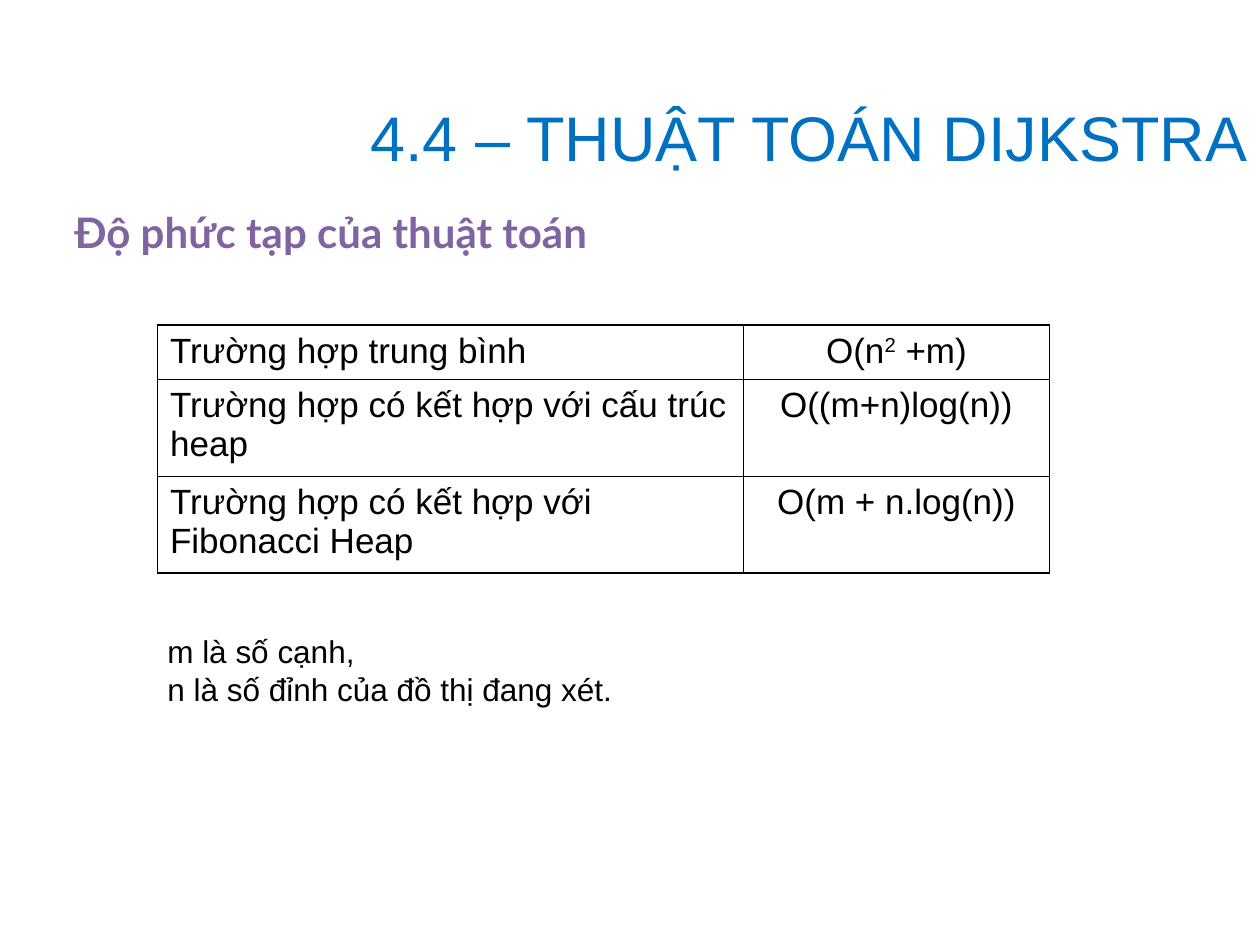
from lxml import etree
from pptx import Presentation
from pptx import util as u
from pptx.dml import color
from pptx.enum import text
from pptx.oxml import ns

deck = Presentation()
deck.slide_width, deck.slide_height = u.Inches(10), u.Inches(7.5)
page = deck.slides.add_slide(deck.slide_layouts[5])
ALIGN, ANCHOR = text.PP_ALIGN, text.MSO_ANCHOR


def paint(value):
    return color.RGBColor.from_string(value)


def write(frame, lines, look, align=ALIGN.LEFT):
    """Each line is a list of pieces; every second piece is a superscript."""
    for index, line in enumerate(lines):
        para = frame.paragraphs[0] if index == 0 else frame.add_paragraph()
        para.alignment = align
        for order, piece in enumerate(line):
            span = para.add_run()
            span.text = piece
            for name, value in look.items():
                if name == "color":
                    span.font.color.rgb = paint(value)
                else:
                    setattr(span.font, name, value)
            if order % 2:
                span.font._element.set("baseline", "30000")


# Section heading and slide title
heading = page.shapes.add_textbox(*map(u.Inches, (1.42, 0.58, 8.58, 1)))
heading.text_frame.word_wrap = True
heading.text_frame.vertical_anchor = ANCHOR.MIDDLE
write(heading.text_frame, [["4.4 – THUẬT TOÁN DIJKSTRA"]],
      {"name": "Arial", "size": u.Pt(36), "color": "0070C0"}, ALIGN.RIGHT)

title = page.shapes.title
title.left, title.top, title.width, title.height = map(u.Inches, (0.49, 1.5, 9.28, 0.67))
title.text_frame.vertical_anchor = ANCHOR.MIDDLE
write(title.text_frame, [["Độ phức tạp của thuật toán"]],
      {"name": "Lato", "size": u.Pt(24), "bold": True, "color": "8064A2"})

# Complexity table
cases = [
    ("Trường hợp trung bình", ["O(n", "2", " +m)"]),
    ("Trường hợp có kết hợp với cấu trúc heap", ["O((m+n)log(n))"]),
    ("Trường hợp có kết hợp với Fibonacci Heap", ["O(m + n.log(n))"]),
]
widths = (4.65, 2.43)
row_height = 0.41
frame = page.shapes.add_table(len(cases), len(widths), u.Inches(1.25), u.Inches(2.58),
                              u.Inches(sum(widths)), u.Inches(row_height * len(cases)))
table = frame.table
table.first_row = table.horz_banding = False
for column, width in zip(table.columns, widths):
    column.width = u.Inches(width)
for row, (case, cost) in zip(table.rows, cases):
    row.height = u.Inches(row_height)
    for cell, line, align in zip(row.cells, ([case], cost), (ALIGN.LEFT, ALIGN.CENTER)):
        write(cell.text_frame, [line],
              {"name": "Arial", "size": u.Pt(20), "color": "000000"}, align)
        # Borders come before the fill in the cell properties
        props = cell._tc.get_or_add_tcPr()
        for side in ("lnL", "lnR", "lnT", "lnB"):
            border = etree.SubElement(props, ns.qn("a:" + side), w=str(u.Pt(1)))
            fill = etree.SubElement(border, ns.qn("a:solidFill"))
            etree.SubElement(fill, ns.qn("a:srgbClr"), val="000000")
        cell.fill.background()

# Meaning of the symbols
legend = page.shapes.add_textbox(*map(u.Inches, (1.23, 4.97, 5.1, 0.71)))
legend.text_frame.word_wrap = True
legend.text_frame.auto_size = text.MSO_AUTO_SIZE.SHAPE_TO_FIT_TEXT
write(legend.text_frame, [["m là số cạnh,"], ["n là số đỉnh của đồ thị đang xét."]],
      {"name": "Arial", "size": u.Pt(18), "color": "000000"})

deck.save("out.pptx")
